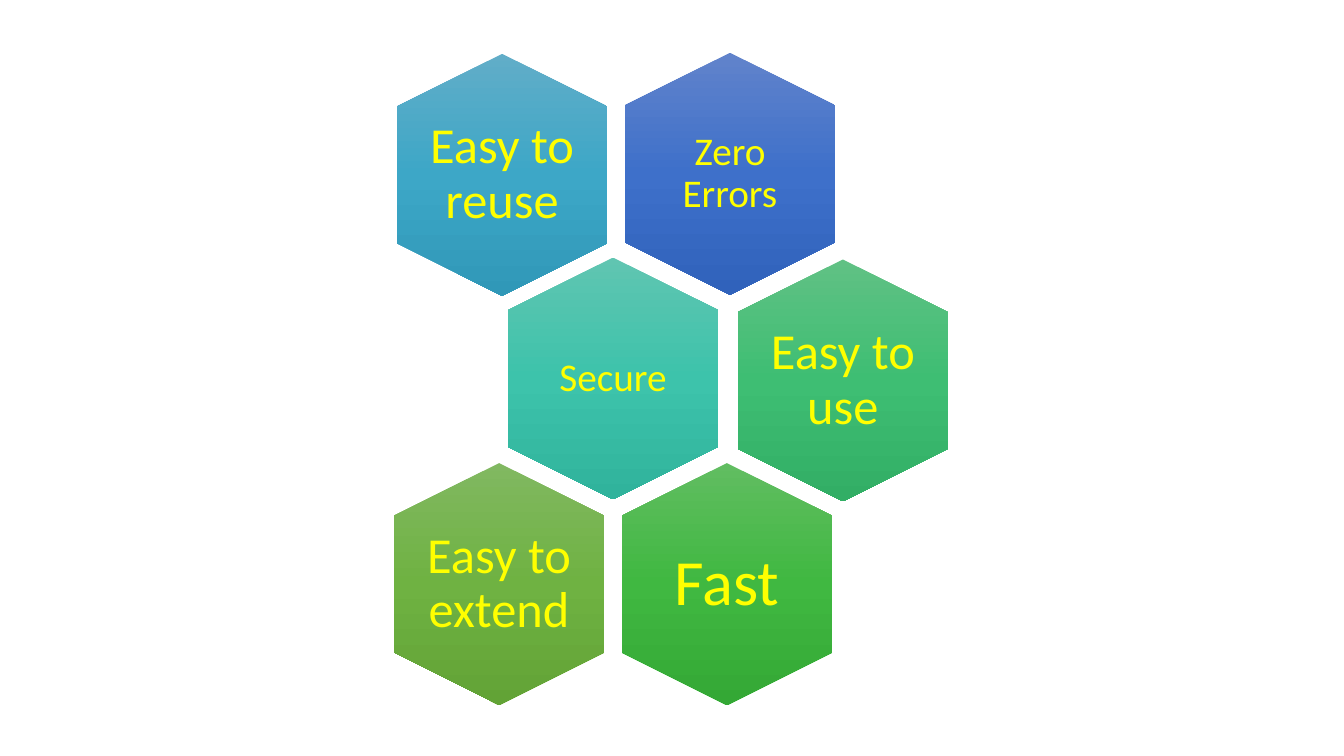
from lxml import etree
from pptx import Presentation
from pptx.dml.color import RGBColor
from pptx.enum.shapes import MSO_SHAPE
from pptx.enum.text import MSO_ANCHOR, PP_ALIGN
from pptx.oxml.ns import qn
from pptx.util import Inches, Pt

HEXAGON = MSO_SHAPE.HEXAGON
MIDDLE = MSO_ANCHOR.MIDDLE
CENTER = PP_ALIGN.CENTER

COLORS = {
    "text": "FFFF00",
    "blue": ("6183CB", "3E70CA", "3062BB"),
    "sky": ("61ADC8", "3DA7C7", "3098B8"),
    "teal": ("60C5B1", "3DC3AB", "30B39C"),
    "mint": ("60C184", "3EBE73", "32AE65"),
    "green": ("61BD61", "40B841", "34A835"),
    "olive": ("81B861", "6FB242", "62A336"),
}
HEX_WIDTH, HEX_HEIGHT = 2.4, 2.09
LABEL_WIDTH, LABEL_HEIGHT = 1.44, 1.65

BENEFITS = [
    ("Zero Errors", 6.04, 0.68, "blue", 28, 0.12),
    ("Easy to reuse", 3.78, 0.69, "sky", 36, 0),
    ("Secure", 4.88, 2.71, "teal", 28, 0.12),
    ("Easy to use", 7.16, 2.73, "mint", 36, 0),
    ("Fast", 6.01, 4.75, "green", 46, 0.19),
    ("Easy to extend", 3.75, 4.75, "olive", 36, 0),
]


def set_vertical_gradient(shape, colors):
    shape.fill.gradient()
    gradient = shape.fill._xPr.find(qn("a:gradFill"))
    gradient.set("rotWithShape", "0")
    stops = gradient.find(qn("a:gsLst"))
    for stop in list(stops):
        stops.remove(stop)
    for position, color in zip((0, 50000, 100000), colors):
        stop = etree.SubElement(stops, qn("a:gs"), pos=str(position))
        etree.SubElement(stop, qn("a:srgbClr"), val=color)
    direction = gradient.find(qn("a:lin"))
    direction.set("ang", "5400000")
    direction.set("scaled", "0")


def add_hexagon(page, left, top, colors):
    hexagon = page.shapes.add_shape(
        HEXAGON, Inches(left), Inches(top), Inches(HEX_WIDTH), Inches(HEX_HEIGHT))
    hexagon.rotation = 90
    hexagon.adjustments[0] = 0.25
    hexagon.adjustments[1] = 1.1547
    hexagon.shadow.inherit = False
    hexagon.line.fill.background()
    set_vertical_gradient(hexagon, colors)


def add_label(page, text, left, top, size, inset):
    box = page.shapes.add_textbox(
        Inches(left + (HEX_WIDTH - LABEL_WIDTH) / 2),
        Inches(top + (HEX_HEIGHT - LABEL_HEIGHT) / 2),
        Inches(LABEL_WIDTH), Inches(LABEL_HEIGHT))
    frame = box.text_frame
    frame.word_wrap = True
    frame.vertical_anchor = MIDDLE
    frame.margin_left = frame.margin_right = Inches(inset)
    frame.margin_top = frame.margin_bottom = Inches(inset)
    frame.text = text
    para = frame.paragraphs[0]
    para.alignment = CENTER
    para.line_spacing = 0.9
    span = para.runs[0]
    span.font.name = "Calibri"
    span.font.size = Pt(size)
    span.font.color.rgb = RGBColor.from_string(COLORS["text"])


def main():
    deck = Presentation()
    deck.slide_width, deck.slide_height = Inches(13.33), Inches(7.5)
    page = deck.slides.add_slide(deck.slide_layouts[6])
    for text, left, top, color, size, inset in BENEFITS:
        add_hexagon(page, left, top, COLORS[color])
        add_label(page, text, left, top, size, inset)
    deck.save("out.pptx")


if __name__ == "__main__":
    main()
